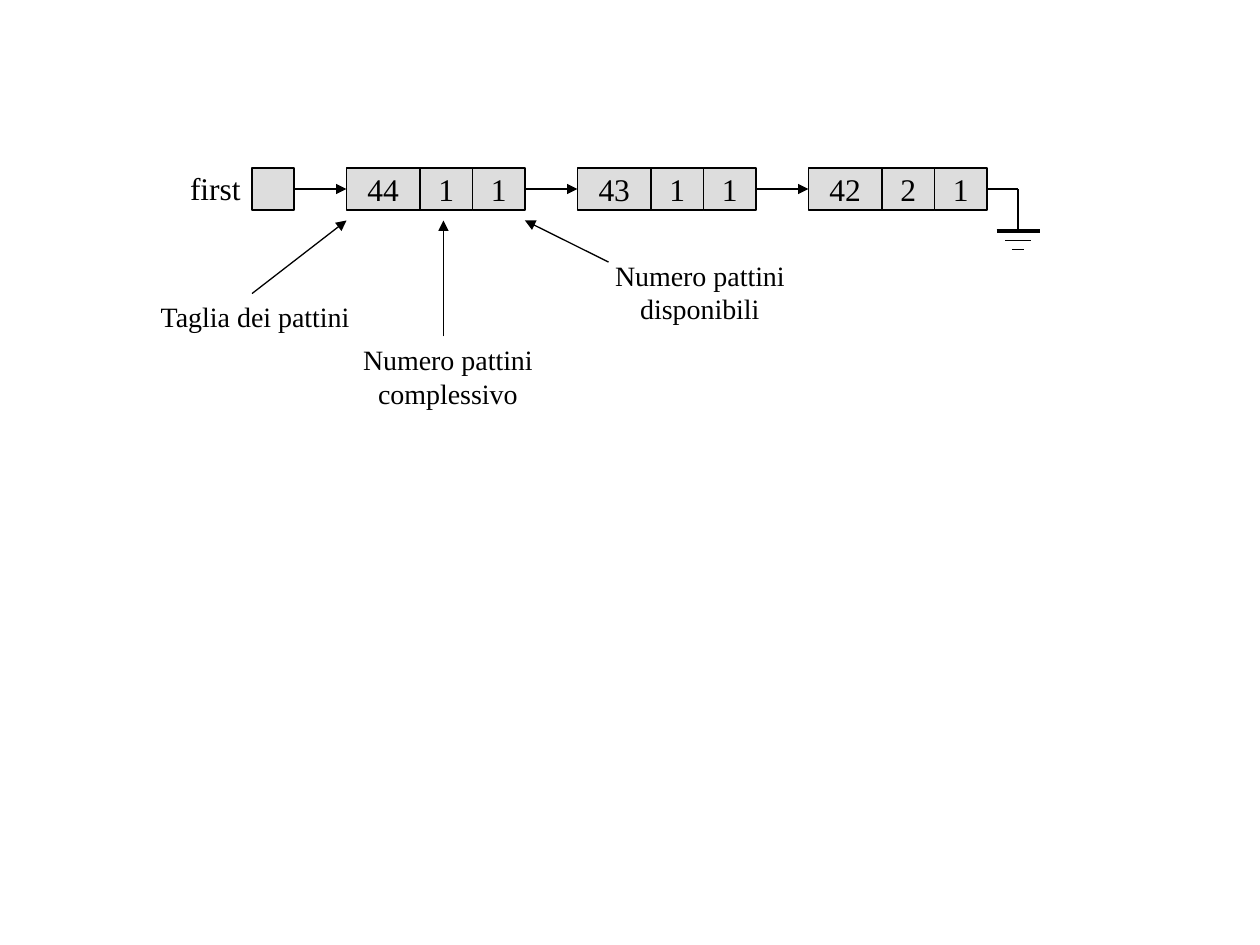
from pptx import Presentation
from pptx.dml.color import RGBColor
from pptx.enum.shapes import MSO_CONNECTOR as Connector, MSO_SHAPE as Shape
from pptx.enum.text import MSO_ANCHOR as Anchor, MSO_AUTO_SIZE as AutoSize, PP_ALIGN as Align
from pptx.oxml.ns import qn
from pptx.util import Inches, Pt
from lxml.etree import SubElement

BLACK = RGBColor(0x00, 0x00, 0x00)
GREY = RGBColor(0xDD, 0xDD, 0xDD)

UNIT = 1 / 12
CELL_TOP = 16 * UNIT
CELL_HEIGHT = 4 * UNIT
LINK_Y = CELL_TOP + CELL_HEIGHT / 2
POINTER_LEFT = 2
FIRST_NODE_LEFT = 2.75
NODE_PITCH = 22 * UNIT
FIELD_WIDTHS = [7 * UNIT, 5 * UNIT, 5 * UNIT]
NODE_WIDTH = sum(FIELD_WIDTHS)
NODES = [("44", "1", "1"), ("43", "1", "1"), ("42", "2", "1")]
CALLOUT_TIP_Y = 1.75


class ListDiagram:
    font = "Times New Roman"
    value_size = 18
    note_size = 16

    def __init__(self, slide):
        self.slide = slide

    def set_text(self, frame, text, size, align):
        frame.text = text
        frame.word_wrap = False
        for paragraph in frame.paragraphs:
            paragraph.alignment = align
            for run in paragraph.runs:
                run.font.name = self.font
                run.font.size = Pt(size)
                run.font.color.rgb = BLACK

    def cell(self, left, width, value=""):
        box = self.slide.shapes.add_shape(
            Shape.RECTANGLE, Inches(left), Inches(CELL_TOP), Inches(width), Inches(CELL_HEIGHT))
        box.shadow.inherit = False
        box.fill.solid()
        box.fill.fore_color.rgb = GREY
        box.line.color.rgb = BLACK
        box.line.width = Pt(0.75)
        if value:
            box.text_frame.vertical_anchor = Anchor.MIDDLE
            self.set_text(box.text_frame, value, self.value_size, Align.CENTER)

    def node(self, left, values):
        for width, value in zip(FIELD_WIDTHS, values):
            self.cell(left, width, value)
            left += width

    def label(self, left, top, width, height, text, size=note_size, align=Align.CENTER):
        box = self.slide.shapes.add_textbox(
            Inches(left), Inches(top), Inches(width), Inches(height))
        self.set_text(box.text_frame, text, size, align)
        box.text_frame.auto_size = AutoSize.SHAPE_TO_FIT_TEXT

    def line(self, start, end, weight=0.75):
        connector = self.slide.shapes.add_connector(
            Connector.STRAIGHT, *(Inches(value) for value in (*start, *end)))
        connector.line.color.rgb = BLACK
        connector.line.width = Pt(weight)
        SubElement(connector._element.spPr, qn("a:effectLst"))
        return connector

    def arrow(self, start, end):
        outline = self.line(start, end)._element.spPr.find(qn("a:ln"))
        SubElement(outline, qn("a:tailEnd"), type="triangle")

    def ground(self, left, center, top):
        self.line((left, LINK_Y), (center, LINK_Y))
        self.line((center, LINK_Y), (center, top))
        for drop, half_width, weight in [(0, 0.17, 2.25), (0.08, 0.1, 0.75), (0.15, 0.05, 0.75)]:
            y = top + drop
            self.line((center - half_width, y), (center + half_width, y), weight)


def main():
    presentation = Presentation()
    presentation.slide_width = Inches(10)
    presentation.slide_height = Inches(7.5)
    blank_layout = presentation.slide_layouts[6]
    diagram = ListDiagram(presentation.slides.add_slide(blank_layout))

    diagram.cell(POINTER_LEFT, CELL_HEIGHT)
    diagram.label(1.41, 1.29, 0.6, 0.4, "first", diagram.value_size, Align.RIGHT)

    link_start = POINTER_LEFT + CELL_HEIGHT
    for index, values in enumerate(NODES):
        node_left = FIRST_NODE_LEFT + index * NODE_PITCH
        diagram.arrow((link_start, LINK_Y), (node_left, LINK_Y))
        diagram.node(node_left, values)
        link_start = node_left + NODE_WIDTH
    diagram.ground(link_start, 8.08, 1.83)

    diagram.label(1.17, 2.33, 1.71, 0.37, "Taglia dei pattini")
    diagram.arrow((2, 2.33), (FIRST_NODE_LEFT, CALLOUT_TIP_Y))
    diagram.label(2.78, 2.67, 1.55, 0.64, "Numero pattini\ncomplessivo")
    diagram.arrow((3.52, 2.67), (3.52, CALLOUT_TIP_Y))
    diagram.label(4.78, 2, 1.55, 0.64, "Numero pattini\ndisponibili")
    diagram.arrow((4.83, 2.08), (FIRST_NODE_LEFT + NODE_WIDTH, CALLOUT_TIP_Y))

    presentation.save("out.pptx")


if __name__ == "__main__":
    main()
